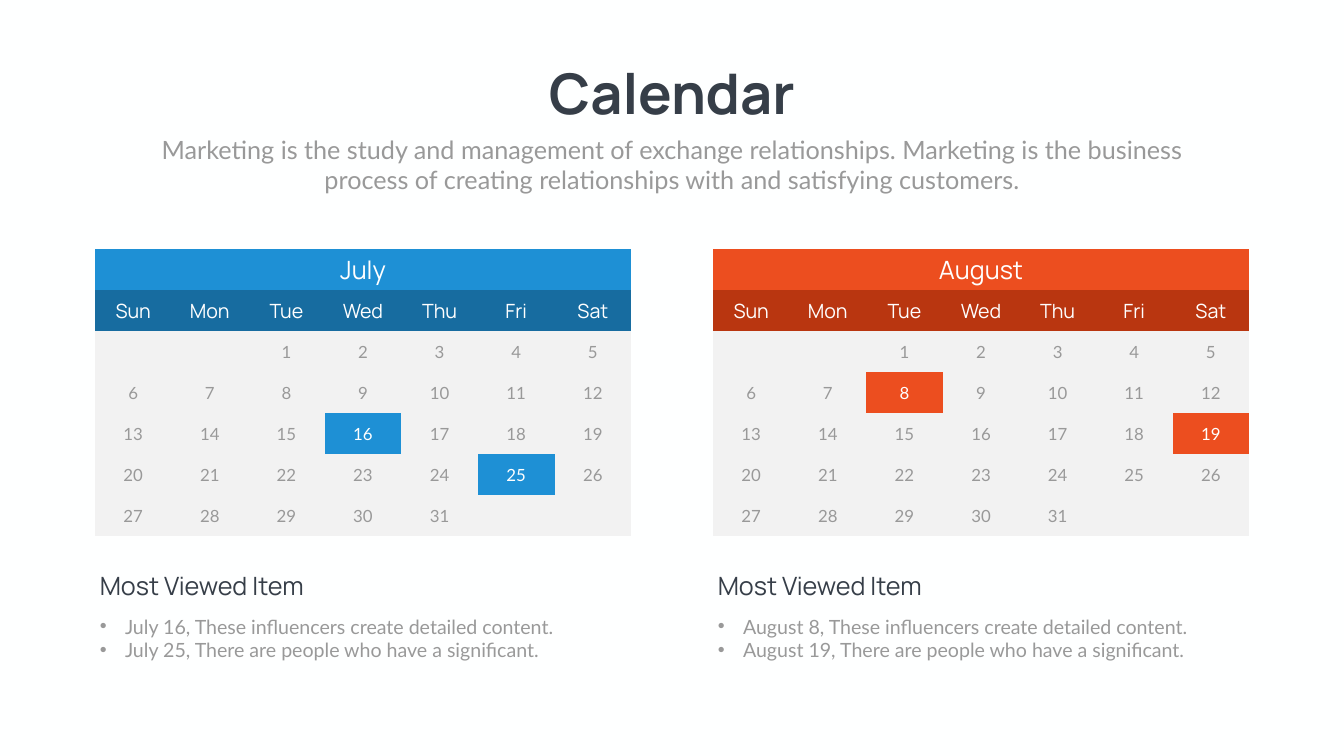
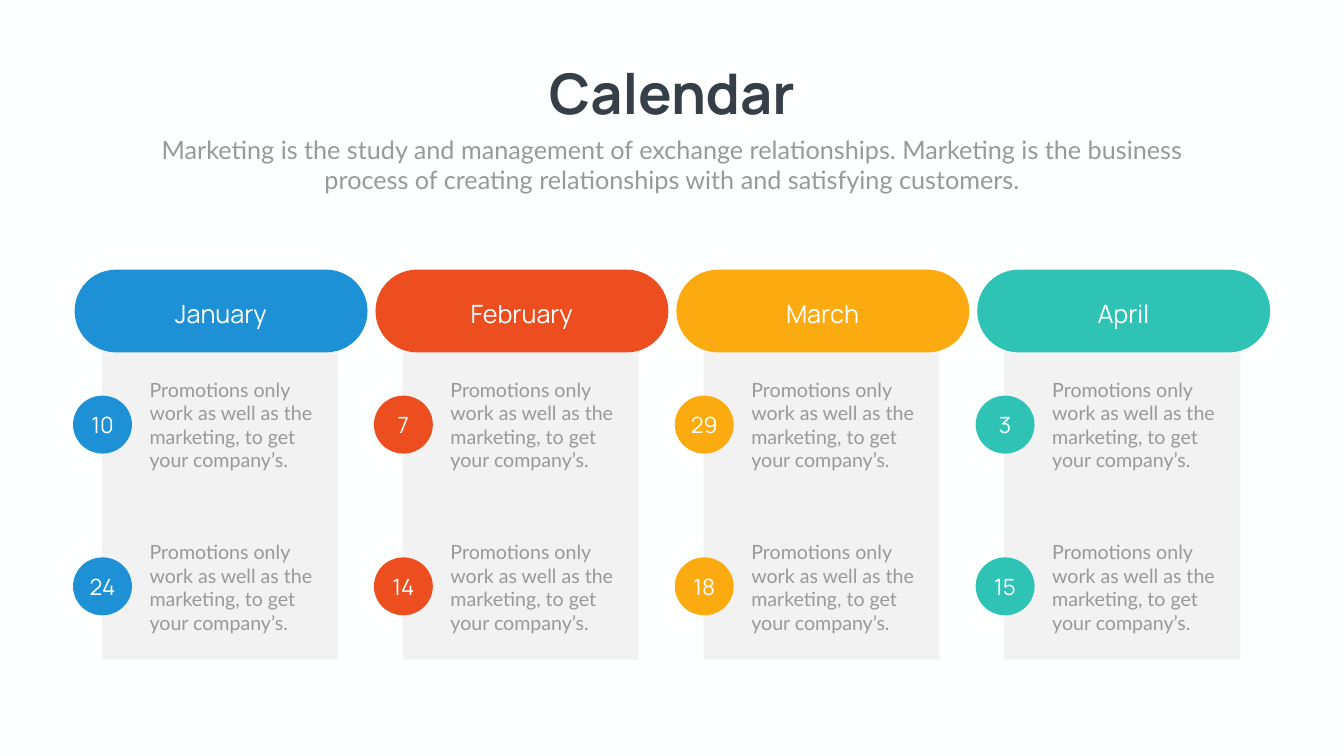
"""Build a two-slide calendar deck."""
from dataclasses import dataclass
from typing import NamedTuple

from lxml.etree import SubElement
from pptx import Presentation
from pptx.dml.color import RGBColor
from pptx.dml.fill import FillFormat
from pptx.enum.shapes import MSO_SHAPE
from pptx.enum.text import MSO_ANCHOR, MSO_AUTO_SIZE, PP_ALIGN
from pptx.oxml.ns import qn
from pptx.shapes.autoshape import Shape
from pptx.shapes.shapetree import GroupShapes, SlideShapes
from pptx.slide import Slide
from pptx.table import _Cell
from pptx.text.text import TextFrame
from pptx.util import Cm, Pt

BLUE, ORANGE, YELLOW, TEAL = "1E90D5", "EC4E1F", "FBAA10", "2FC3B6"
DARK_BLUE, DARK_ORANGE = "176CA0", "B93610"
INK, GRAY, PALE, WHITE, BACKGROUND = "363E48", "999999", "F2F2F2", "FFFFFF", "FEFFFF"
NO_GRID_STYLE = "{2D5ABB26-0587-4C30-8999-92F81FD0307C}"
WEEKDAYS = ("Sun", "Mon", "Tue", "Wed", "Thu", "Fri", "Sat")
DAY_COUNT, FIRST_WEEKDAY = 31, 2
TABLE_ROWS, HEADER_ROWS = 7, 2
SUBTITLE = (
    "Marketing is the study and management of exchange relationships. "
    "Marketing is the business process of creating relationships with "
    "and satisfying customers."
)
PROMOTION = "Promotions only work as well as the marketing, to get your company’s."


class Frame(NamedTuple):
    """Position and size in centimetres."""

    left: float
    top: float
    width: float
    height: float

    def moved(self, right: float, down: float = 0) -> "Frame":
        """Return the frame shifted by the given distances."""
        return Frame(self.left + right, self.top + down, self.width, self.height)

    def lengths(self) -> list[Cm]:
        """Return the four values as lengths."""
        return [Cm(value) for value in self]


class TextStyle(NamedTuple):
    """Font and alignment of a text."""

    font: str
    size: int
    color: str
    align: PP_ALIGN = PP_ALIGN.LEFT
    bold: bool = False


@dataclass(frozen=True)
class MonthTable:
    """A month grid with its highlighted days."""

    name: str
    color: str
    dark: str
    marked: tuple[int, ...]


@dataclass(frozen=True)
class MonthColumn:
    """A month column with two dated promotions."""

    name: str
    color: str
    days: tuple[int, int]


TITLE = TextStyle("Manrope", 80, INK, PP_ALIGN.CENTER, True)
LEAD = TextStyle("Lato", 36, GRAY, PP_ALIGN.CENTER)
MONTH = TextStyle("Manrope", 36, WHITE, PP_ALIGN.CENTER)
WEEKDAY = TextStyle("Manrope", 28, WHITE, PP_ALIGN.CENTER)
DAY = TextStyle("Lato", 24, GRAY, PP_ALIGN.CENTER)
BADGE = TextStyle("Manrope", 32, WHITE, PP_ALIGN.CENTER)
HEADING = TextStyle("Manrope", 36, INK)
BODY = TextStyle("Lato", 28, GRAY)

MONTH_TABLES = (
    MonthTable("July", BLUE, DARK_BLUE, (16, 25)),
    MonthTable("August", ORANGE, DARK_ORANGE, (8, 19)),
)
MONTH_COLUMNS = (
    MonthColumn("January", BLUE, (10, 24)),
    MonthColumn("February", ORANGE, (7, 14)),
    MonthColumn("March", YELLOW, (29, 18)),
    MonthColumn("April", TEAL, (3, 15)),
)

TITLE_FRAME = Frame(26.75, 2.84, 14.22, 3.68)
LEAD_FRAME = Frame(7.42, 6.63, 52.88, 3.33)
TABLE_FRAME = Frame(4.78, 12.55, 27.02, 14.48)
HEADING_FRAME = Frame(4.78, 28.63, 14.22, 1.8)
LIST_FRAME = Frame(4.78, 30.84, 27.02, 2.64)
TABLE_STEP = 31.14
PANEL_FRAME = Frame(5.13, 17.75, 11.89, 15.49)
PILL_FRAME = Frame(3.76, 13.59, 14.76, 4.17)
LABEL_FRAME = Frame(5.23, 14.91, 11.79, 1.8)
BADGE_FRAME = Frame(3.68, 19.94, 2.97, 2.92)
NOTE_FRAME = Frame(7.29, 18.9, 9.17, 5.05)
COLUMN_STEP, BADGE_STEP, NOTE_STEP = 15.16, 8.15, 8.2


def paint(fill: FillFormat, color: str) -> None:
    """Apply a solid fill."""
    fill.solid()
    fill.fore_color.rgb = RGBColor.from_string(color)


def write(text_frame: TextFrame, text: str, style: TextStyle) -> None:
    """Set the text and format every run."""
    text_frame.text = text
    for para in text_frame.paragraphs:
        para.alignment = style.align
        for span in para.runs:
            span.font.name = style.font
            span.font.size = Pt(style.size)
            span.font.bold = style.bold
            span.font.color.rgb = RGBColor.from_string(style.color)


def add_text(shapes: SlideShapes | GroupShapes, frame: Frame, text: str,
             style: TextStyle, wrap: bool = True) -> Shape:
    """Add a text box that grows with its text."""
    box = shapes.add_textbox(*frame.lengths())
    box.text_frame.word_wrap = wrap
    box.text_frame.auto_size = MSO_AUTO_SIZE.SHAPE_TO_FIT_TEXT
    write(box.text_frame, text, style)
    return box


def add_block(page: Slide, kind: MSO_SHAPE, frame: Frame, color: str) -> Shape:
    """Add a flat filled shape."""
    block = page.shapes.add_shape(kind, *frame.lengths())
    block.shadow.inherit = False
    paint(block.fill, color)
    block.line.fill.background()
    return block


def add_bullets(text_frame: TextFrame) -> None:
    """Give every paragraph a hanging bullet."""
    for para in text_frame.paragraphs:
        properties = para._p.get_or_add_pPr()
        properties.set("marL", str(Cm(1.27)))
        properties.set("indent", str(-Cm(1.27)))
        SubElement(properties, qn("a:buFont"), typeface="Arial")
        SubElement(properties, qn("a:buChar"), char="•")


def fill_cell(cell: _Cell, text: str, style: TextStyle, color: str) -> None:
    """Write and colour one table cell."""
    cell.vertical_anchor = MSO_ANCHOR.MIDDLE
    write(cell.text_frame, text, style)
    paint(cell.fill, color)


def add_month_table(page: Slide, month: MonthTable, frame: Frame) -> None:
    """Add the calendar grid of one month."""
    columns = len(WEEKDAYS)
    holder = page.shapes.add_table(TABLE_ROWS, columns, *frame.lengths())
    table = holder.table
    table.first_row = table.horz_banding = False
    for style_id in holder._element.iter(qn("a:tableStyleId")):
        style_id.text = NO_GRID_STYLE
    table.cell(0, 0).merge(table.cell(0, columns - 1))
    fill_cell(table.cell(0, 0), month.name, MONTH, month.color)
    for column, weekday in enumerate(WEEKDAYS):
        fill_cell(table.cell(1, column), weekday, WEEKDAY, month.dark)
    for slot in range((TABLE_ROWS - HEADER_ROWS) * columns):
        week, column = divmod(slot, columns)
        day = slot - FIRST_WEEKDAY + 1
        text = str(day) if 1 <= day <= DAY_COUNT else ""
        marked = day in month.marked
        fill_cell(
            table.cell(week + HEADER_ROWS, column),
            text,
            DAY._replace(color=WHITE) if marked else DAY,
            month.color if marked else PALE,
        )


def add_month_notes(page: Slide, month: MonthTable, shift: float) -> None:
    """Add the grouped heading and list below a month grid."""
    group = page.shapes.add_group_shape()
    add_text(group.shapes, HEADING_FRAME.moved(shift), "Most Viewed Item", HEADING)
    first, second = month.marked
    notes = (
        f"{month.name} {first}, These influencers create detailed content.\n"
        f"{month.name} {second}, There are people who have a significant."
    )
    box = add_text(group.shapes, LIST_FRAME.moved(shift), notes, BODY)
    add_bullets(box.text_frame)


def add_month_column(page: Slide, month: MonthColumn, shift: float) -> None:
    """Add one month pill with its panel, badges and promotions."""
    add_block(page, MSO_SHAPE.RECTANGLE, PANEL_FRAME.moved(shift), PALE)
    pill = add_block(
        page, MSO_SHAPE.ROUNDED_RECTANGLE, PILL_FRAME.moved(shift), month.color
    )
    pill.adjustments[0] = 0.5
    add_text(page.shapes, LABEL_FRAME.moved(shift), month.name, MONTH)
    for row, day in enumerate(month.days):
        badge = add_block(
            page, MSO_SHAPE.OVAL, BADGE_FRAME.moved(shift, row * BADGE_STEP), month.color
        )
        badge.text_frame.vertical_anchor = MSO_ANCHOR.MIDDLE
        write(badge.text_frame, str(day), BADGE)
        add_text(page.shapes, NOTE_FRAME.moved(shift, row * NOTE_STEP), PROMOTION, BODY)


def add_page(deck: Presentation) -> Slide:
    """Add a page with the shared background, title and lead."""
    page = deck.slides.add_slide(deck.slide_layouts[6])
    paint(page.background.fill, BACKGROUND)
    add_text(page.shapes, TITLE_FRAME, "Calendar", TITLE, wrap=False)
    add_text(page.shapes, LEAD_FRAME, SUBTITLE, LEAD)
    return page


def main() -> None:
    """Build and save the deck."""
    deck = Presentation()
    deck.slide_width, deck.slide_height = Cm(67.72), Cm(38.1)
    page = add_page(deck)
    for index, month in enumerate(MONTH_TABLES):
        shift = index * TABLE_STEP
        add_month_table(page, month, TABLE_FRAME.moved(shift))
        add_month_notes(page, month, shift)
    page = add_page(deck)
    for index, month in enumerate(MONTH_COLUMNS):
        add_month_column(page, month, index * COLUMN_STEP)
    deck.save("out.pptx")


if __name__ == "__main__":
    main()
